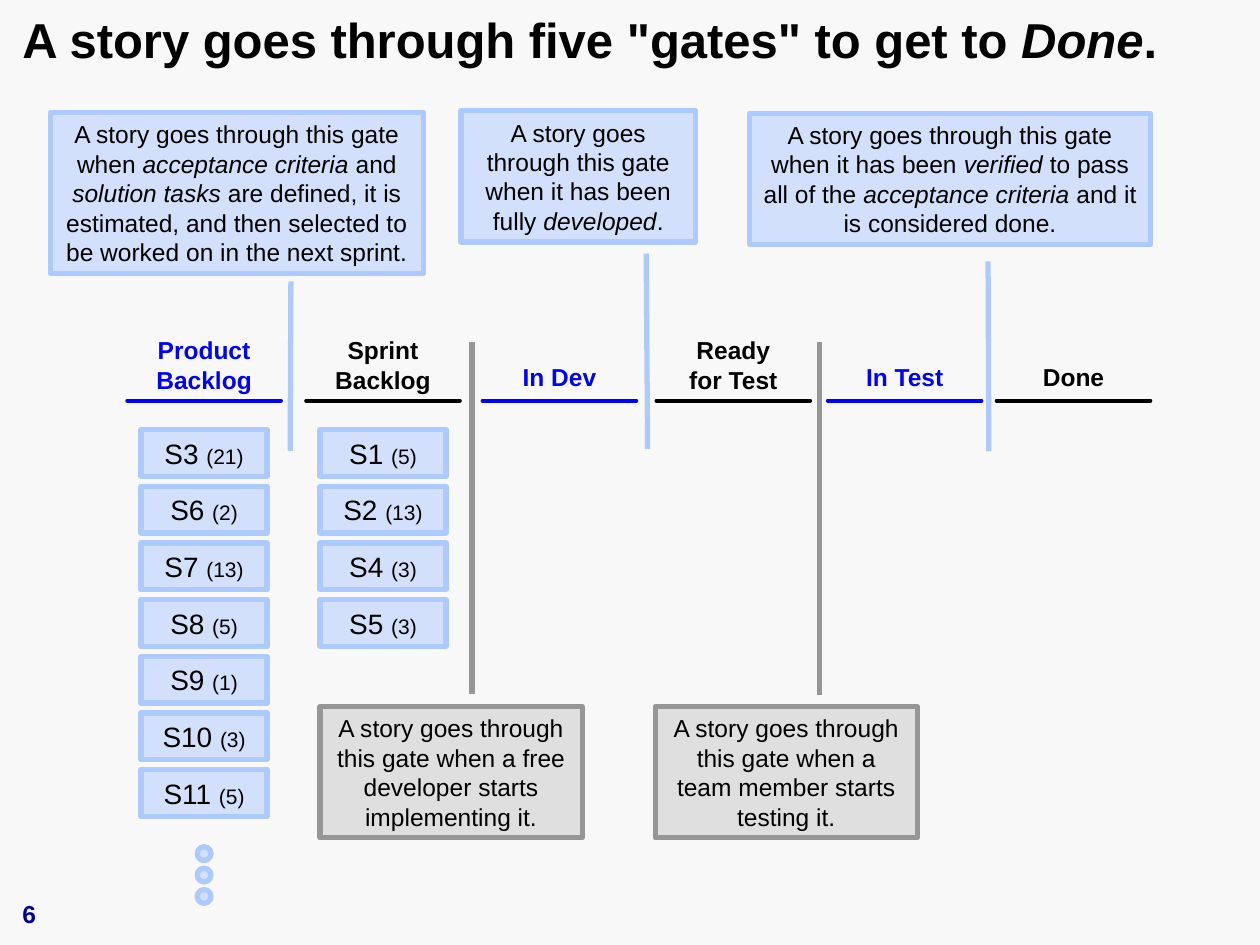
from lxml import etree
from pptx import Presentation
from pptx.dml.color import RGBColor
from pptx.enum.shapes import MSO_CONNECTOR, MSO_SHAPE
from pptx.enum.text import MSO_ANCHOR, PP_ALIGN
from pptx.oxml.ns import qn
from pptx.util import Inches, Pt

RECT, OVAL, CALLOUT = MSO_SHAPE.RECTANGLE, MSO_SHAPE.OVAL, MSO_SHAPE.LINE_CALLOUT_1
STRAIGHT = MSO_CONNECTOR.STRAIGHT
LEFT, CENTER = PP_ALIGN.LEFT, PP_ALIGN.CENTER
MIDDLE, BOTTOM = MSO_ANCHOR.MIDDLE, MSO_ANCHOR.BOTTOM

THEME = {
    "font": "Arial", "paper": "F8F8F8", "ink": "000000", "number": "000099",
    "queue": "000000", "active": "0000FF",
    "blue": ("ADCAFF", 50), "gray": ("969696", 25),  # colour, fill opacity in %
    "title": 28, "story": 16, "body": 14, "points": 12,
    "outline": 3, "rule": 2.25,
}

# Content: asterisks mark italic words
TITLE = 'A story goes through five "gates" to get to *Done*.'
PAGE = "6"
STAGES = [  # lines of the heading, style, width of the heading, stories with points
    (["Product", "Backlog"], "active", 0.97,
     [("S3", 21), ("S6", 2), ("S7", 13), ("S8", 5), ("S9", 1), ("S10", 3), ("S11", 5)]),
    (["Sprint", "Backlog"], "queue", 0.97, [("S1", 5), ("S2", 13), ("S4", 3), ("S5", 3)]),
    (["In Dev"], "active", 0.81, []),
    (["Ready", "for Test"], "queue", 0.92, []),
    (["In Test"], "active", 0.82, []),
    (["Done"], "queue", 0.69, []),
]
GATES = [  # text, style, box, pointer as shares of the box: y1, x1, y2, x2
    ("A story goes through this gate when a free developer starts implementing it.",
     "gray", (2.54, 5.61, 2.08, 1.04), (-0.1, 0.58, -2.78, 0.58)),
    ("A story goes through this gate when *acceptance criteria* and *solution tasks *are "
     "defined, it is estimated, and then selected to be worked on in the next sprint.",
     "blue", (0.4, 0.89, 2.96, 1.28), (1.05, 0.645, 2.1, 0.643)),
    ("A story goes through this gate when it has been fully *developed*.",
     "blue", (3.66, 0.88, 1.86, 1.04), (1.09, 0.79, 2.58, 0.796)),
    ("A story goes through this gate when it has been *verified* to pass all of the "
     "*acceptance criteria* and it is considered done.",
     "blue", (5.95, 0.9, 3.18, 1.04), (1.13, 0.595, 2.58, 0.597)),
    ("A story goes through this gate when a team member starts testing it.",
     "gray", (5.2, 5.61, 2.08, 1.04), (-0.09, 0.626, -2.78, 0.626)),
]

# Board grid: the step between columns shrinks evenly from left to right
BOARD_LEFT, COLUMN_W, FIRST_STEP, STEP_LOSS = 1.01, 1.22, 1.42, 0.02
RULE_Y, LINE_H, HEADING_PAD = 3.18, 0.23, 0.1
CARD_W, CARD_H, CARD_TOP, CARD_STEP = 1, 0.37, 3.41, 0.45
DOT, DOT_TOP, DOT_STEP, DOT_COUNT = 0.11, 6.72, 0.17, 3

prs = Presentation()
prs.slide_width, prs.slide_height = Inches(10), Inches(7.5)
slide = prs.slides.add_slide(prs.slide_layouts[6])
slide.background.fill.solid()
slide.background.fill.fore_color.rgb = RGBColor.from_string(THEME["paper"])


def apply(target, values):
    for name, value in values.items():
        setattr(target, name, value)


def add_run(paragraph, text, size, color="ink", **styles):
    run = paragraph.add_run()
    run.text = text
    apply(run.font, {"name": THEME["font"], "size": Pt(THEME[size]), **styles})
    run.font.color.rgb = RGBColor.from_string(THEME[color])


def add_marked(paragraph, text, size, **styles):
    """Add text whose parts between asterisks are italic."""
    for index, part in enumerate(text.split("*")):
        if part:
            add_run(paragraph, part, size, italic=index % 2 == 1, **styles)


def open_text(shape, align, anchor=MIDDLE, wrap=True, **margins):
    """Set up the text frame and return its first paragraph."""
    frame = shape.text_frame
    apply(frame, {"word_wrap": wrap, "vertical_anchor": anchor, **margins})
    frame.paragraphs[0].alignment = align
    return frame.paragraphs[0]


def add_label(box, align, **frame_format):
    return open_text(slide.shapes.add_textbox(*map(Inches, box)), align, **frame_format)


def add_tinted(kind, box, style):
    """Add a shape with a see-through fill and a solid outline of one colour."""
    color, opacity = THEME[style]
    shape = slide.shapes.add_shape(kind, *map(Inches, box))
    shape.shadow.inherit = False
    shape.fill.solid()
    for paint in (shape.fill.fore_color, shape.line.color):
        paint.rgb = RGBColor.from_string(color)
    fill_color = shape.fill._xPr.find(qn("a:solidFill"))[0]
    etree.SubElement(fill_color, qn("a:alpha")).set("val", str(opacity * 1000))
    shape.line.width = Pt(THEME["outline"])
    return shape


def add_rule(left, style):
    rule = slide.shapes.add_connector(
        STRAIGHT, *map(Inches, (left, RULE_Y, left + COLUMN_W, RULE_Y)))
    rule.line.color.rgb = RGBColor.from_string(THEME[style])
    rule.line.width = Pt(THEME["rule"])
    rule.line._get_or_add_ln().set("cap", "rnd")
    etree.SubElement(rule._element.spPr, qn("a:effectLst"))


def add_stage(left, lines, style, heading_w, stories):
    center = left + COLUMN_W / 2
    height = LINE_H * len(lines) + 2 * HEADING_PAD
    bottom = RULE_Y + 0.01 + 0.02 * len(lines)
    pad = Inches(HEADING_PAD)
    heading = add_label((center - heading_w / 2, bottom - height, heading_w, height), CENTER,
                        anchor=BOTTOM, wrap=False, margin_top=pad, margin_bottom=pad)
    for index, line in enumerate(lines):
        if index:
            heading.add_line_break()
        add_run(heading, line, "body", style, bold=True)
    add_rule(left, style)
    for row, (story, points) in enumerate(stories):
        card = add_tinted(
            RECT, (center - CARD_W / 2, CARD_TOP + row * CARD_STEP, CARD_W, CARD_H), "blue")
        caption = open_text(card, CENTER)
        add_run(caption, f"{story} ", "story")
        add_run(caption, f"({points})", "points")


title = add_label((0.08, 0.08, 9.82, 0.52), LEFT)
title.line_spacing = 0.89
add_marked(title, TITLE, "title", bold=True)
add_run(add_label((0.08, 7.02, 2.33, 0.4), LEFT, anchor=BOTTOM), PAGE, "body", "number", bold=True)

column_left = BOARD_LEFT
for column, stage in enumerate(STAGES):
    add_stage(column_left, *stage)
    column_left += FIRST_STEP - column * STEP_LOSS

dots_left = BOARD_LEFT + (COLUMN_W - DOT) / 2
for row in range(DOT_COUNT):
    add_tinted(OVAL, (dots_left, DOT_TOP + row * DOT_STEP, DOT, DOT), "blue")

for text, style, box, pointer in GATES:
    gate = add_tinted(CALLOUT, box, style)
    for index, share in enumerate(pointer):
        gate.adjustments[index] = share
    add_marked(open_text(gate, CENTER), text, "body")

prs.save("out.pptx")
